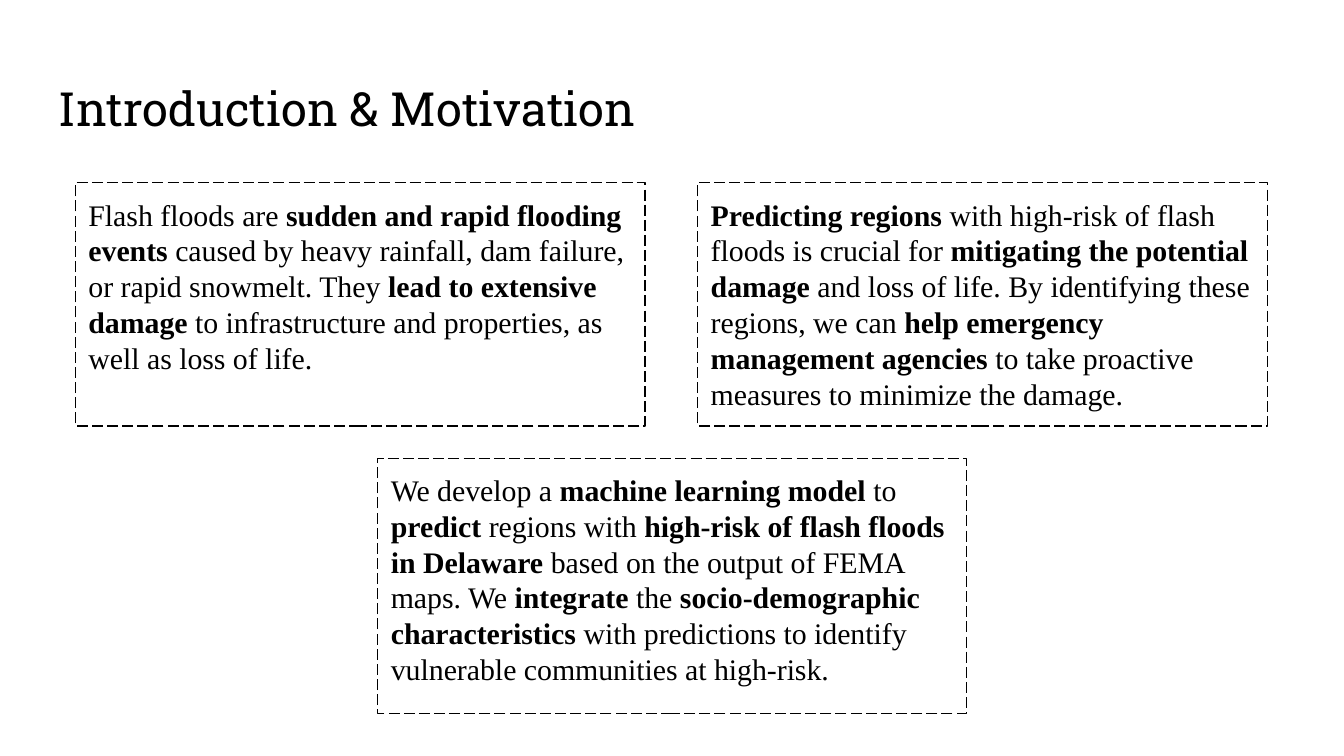
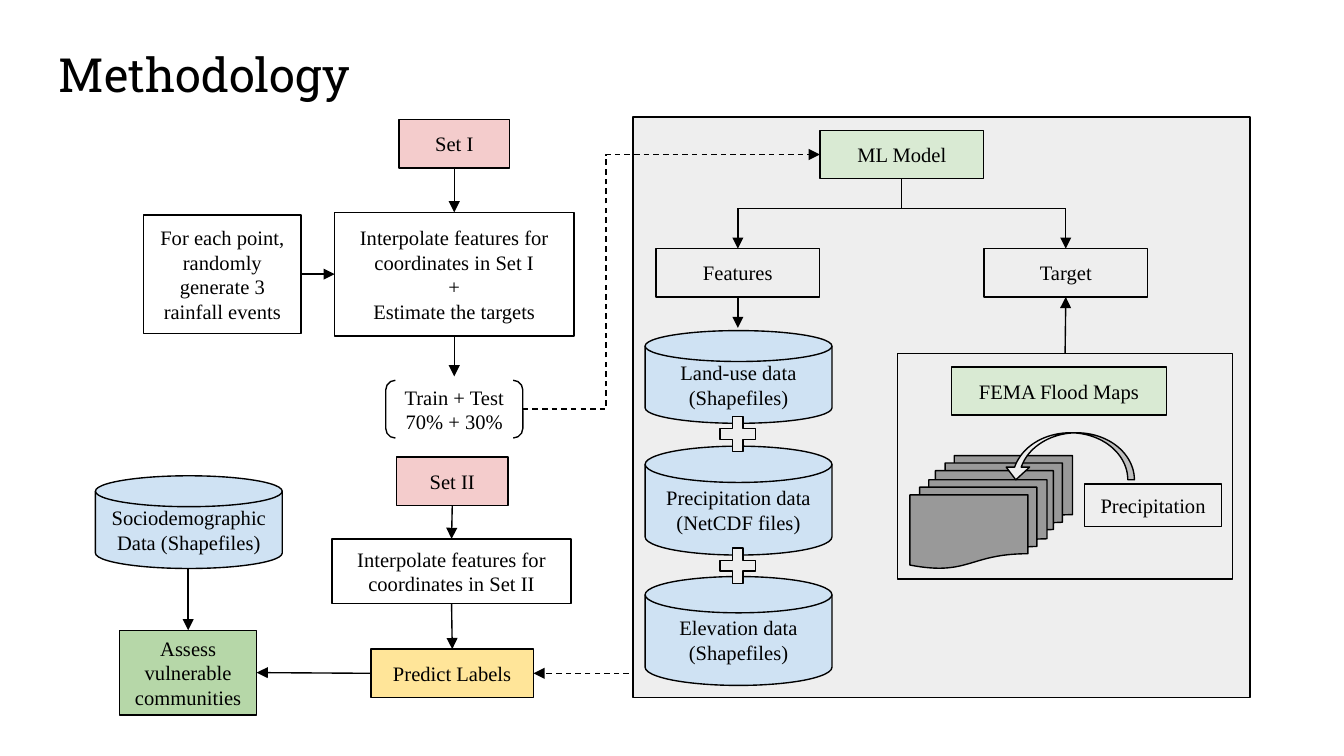
"""Build two slides on flash-flood risk: motivation and methodology."""
import pptx
import pptx.dml.color
import pptx.enum.dml
import pptx.enum.shapes
import pptx.enum.text
import pptx.oxml.ns
import pptx.util
from lxml import etree

Inches = pptx.util.Inches
Pt = pptx.util.Pt
RGBColor = pptx.dml.color.RGBColor
SHAPE = pptx.enum.shapes.MSO_SHAPE
CONNECTOR = pptx.enum.shapes.MSO_CONNECTOR
DASH = pptx.enum.dml.MSO_LINE
ALIGN = pptx.enum.text.PP_ALIGN
ANCHOR = pptx.enum.text.MSO_ANCHOR
qn = pptx.oxml.ns.qn

BLACK = RGBColor(0x00, 0x00, 0x00)
WHITE = RGBColor(0xFF, 0xFF, 0xFF)
PALE_GRAY = RGBColor(0xEE, 0xEE, 0xEE)
GRAY = RGBColor(0x99, 0x99, 0x99)
PALE_GREEN = RGBColor(0xD9, 0xEA, 0xD3)
GREEN = RGBColor(0xB6, 0xD7, 0xA8)
BLUE = RGBColor(0xCF, 0xE2, 0xF3)
PINK = RGBColor(0xF4, 0xCC, 0xCC)
YELLOW = RGBColor(0xFF, 0xE5, 0x99)

PAGE_WIDTH = Inches(10)
PAGE_HEIGHT = PAGE_WIDTH * 9 // 16
TITLE_FONT, BODY_FONT = "Roboto Slab", "Times New Roman"
TITLE_SIZE, CARD_SIZE, NODE_SIZE = 25.2, 16, 11
MARGIN = Inches(0.1)
LINE_WIDTH = Pt(0.75)
TOP, LEFT, BOTTOM, RIGHT = range(4)

CARDS = [
    ((0.56, 1.36, 4.24, 1.81), [
        "Flash floods are ",
        "sudden and rapid flooding events ",
        "caused by heavy rainfall, dam failure, or rapid snowmelt. They ",
        "lead to extensive damage ",
        "to infrastructure and properties, as well as loss of life.",
    ]),
    ((5.19, 1.36, 4.24, 1.81), [
        "",
        "Predicting regions",
        " with high-risk of flash floods is crucial for ",
        "mitigating the potential damage ",
        "and loss of life. By identifying these regions, we can ",
        "help emergency management agencies ",
        "to take proactive measures to minimize the damage.",
    ]),
    ((2.81, 3.41, 4.38, 1.9), [
        "We develop a ",
        "machine learning model ",
        "to ",
        "predict ",
        "regions with ",
        "high-risk of flash floods in Delaware ",
        "based on the output of FEMA maps. We ",
        "integrate ",
        "the ",
        "socio-demographic characteristics ",
        "with predictions to identify vulnerable communities at high-risk.",
    ]),
]

RECT = SHAPE.RECTANGLE
DISK = SHAPE.FLOWCHART_MAGNETIC_DISK
PAGES = SHAPE.FLOWCHART_MULTIDOCUMENT

NODES = {
    "panel": (RECT, PALE_GRAY, (4.71, 0.87, 4.59, 4.32), ""),
    "model": (RECT, PALE_GREEN, (6.1, 0.97, 1.22, 0.36), "ML Model"),
    "features": (RECT, None, (4.88, 1.85, 1.22, 0.36), "Features"),
    "target": (RECT, None, (7.32, 1.85, 1.22, 0.36), "Target"),
    "land use": (DISK, BLUE, (4.8, 2.46, 1.39, 0.69), "Land-use data (Shapefiles)"),
    "rain data": (DISK, BLUE, (4.8, 3.32, 1.39, 0.81), "Precipitation data (NetCDF files)"),
    "elevation": (DISK, BLUE, (4.8, 4.29, 1.39, 0.81), "Elevation data (Shapefiles)"),
    "upper plus": (SHAPE.MATH_PLUS, PALE_GRAY, (5.31, 3.05, 0.36, 0.36), ""),
    "lower plus": (SHAPE.MATH_PLUS, PALE_GRAY, (5.31, 4.03, 0.36, 0.36), ""),
    "map frame": (RECT, None, (6.68, 2.63, 2.49, 1.68), ""),
    "flood maps": (RECT, PALE_GREEN, (7.08, 2.73, 1.6, 0.36), "FEMA Flood Maps"),
    "back maps": (PAGES, GRAY, (6.96, 3.39, 1.02, 0.66), ""),
    "front maps": (PAGES, GRAY, (6.77, 3.57, 1.02, 0.66), ""),
    "rain arrow": (SHAPE.CURVED_UP_ARROW, PALE_GRAY, (7.47, 3.22, 0.97, 0.35), ""),
    "rain": (RECT, None, (8.07, 3.6, 1.02, 0.32), "Precipitation"),
    "set one": (RECT, PINK, (2.97, 0.89, 0.82, 0.36), "Set I"),
    "set two": (RECT, PINK, (2.95, 3.4, 0.83, 0.36), "Set II"),
    "split": (SHAPE.DOUBLE_BRACKET, None, (2.87, 2.83, 1.02, 0.43), "Train + Test\n70% + 30%"),
    "interpolate one": (RECT, WHITE, (2.49, 1.58, 1.78, 0.92),
                        "Interpolate features for coordinates in Set I\n+\nEstimate the targets"),
    "events": (RECT, WHITE, (1.07, 1.6, 1.17, 0.88),
               "For each point, randomly generate 3 rainfall events"),
    "interpolate two": (RECT, WHITE, (2.47, 4.01, 1.78, 0.48),
                        "Interpolate features for coordinates in Set II"),
    "predict": (RECT, YELLOW, (2.76, 4.83, 1.21, 0.36), "Predict Labels"),
    "society": (DISK, BLUE, (0.71, 3.54, 1.39, 0.69), "Sociodemographic Data (Shapefiles)"),
    "assess": (RECT, GREEN, (0.89, 4.69, 1.02, 0.63), "Assess vulnerable communities"),
}
ADJUSTMENTS = {
    "upper plus": [0.22],
    "lower plus": [0.22],
    "rain arrow": [0.14, 0.5, 0.27],
}
ROTATIONS = {"rain arrow": 180}

PLAIN_LINES = [
    (("model", BOTTOM), (6.71, 1.55)),
    ((5.49, 1.55), (7.93, 1.55)),
]
ARROWS = [
    ((5.49, 1.55), ("features", TOP)),
    ((7.93, 1.55), ("target", TOP)),
    (("features", BOTTOM), (5.49, 2.44)),
    (("map frame", TOP), ("target", BOTTOM)),
    (("set one", BOTTOM), ("interpolate one", TOP)),
    (("events", RIGHT), ("interpolate one", LEFT)),
    (("interpolate one", BOTTOM), (3.38, 2.8)),
    (("set two", BOTTOM), ("interpolate two", TOP)),
    (("interpolate two", BOTTOM), ("predict", TOP)),
    (("predict", LEFT), ("assess", RIGHT)),
    ((1.4, 4.23), ("assess", TOP)),
]
DASHED_ARROW = ((4.68, 5.01), ("predict", RIGHT))
ELBOW_ARROW = (("split", RIGHT), ("model", LEFT))
ELBOW_BEND = 0.28


def add_span(para, text, font, size, bold=False):
    """Add one run in the given type."""
    span = para.add_run()
    span.text = text
    span.font.name = font
    span.font.size = Pt(size)
    span.font.bold = bold
    span.font.color.rgb = BLACK


def prepare_frame(box, anchor):
    """Set wrapping, anchor and insets of a box's text."""
    frame = box.text_frame
    frame.word_wrap = True
    frame.vertical_anchor = anchor
    frame.margin_left = frame.margin_right = MARGIN
    frame.margin_top = frame.margin_bottom = MARGIN
    return frame


def add_page(deck, title, top):
    """Add a blank page with its title."""
    page = deck.slides.add_slide(deck.slide_layouts[6])
    box = page.shapes.add_textbox(Inches(0.34), Inches(top), Inches(9.32), Inches(0.63))
    frame = prepare_frame(box, ANCHOR.TOP)
    add_span(frame.paragraphs[0], title, TITLE_FONT, TITLE_SIZE)
    return page


def add_box(page, preset, fill, place):
    """Add an outlined shape, filled when a colour is given."""
    box = page.shapes.add_shape(preset, *map(Inches, place))
    box.shadow.inherit = False
    if fill is None:
        box.fill.background()
    else:
        box.fill.solid()
        box.fill.fore_color.rgb = fill
    box.line.color.rgb = BLACK
    box.line.width = LINE_WIDTH
    return box


def add_card(page, place, texts):
    """Add a dashed card whose runs alternate between regular and bold."""
    box = add_box(page, RECT, None, place)
    box.line.dash_style = DASH.LONG_DASH
    para = prepare_frame(box, ANCHOR.TOP).paragraphs[0]
    para.alignment = ALIGN.LEFT
    for index, text in enumerate(texts):
        if text:
            add_span(para, text, BODY_FONT, CARD_SIZE, bold=index % 2 == 1)


def add_node(page, name):
    """Add one part of the flow diagram."""
    preset, fill, place, text = NODES[name]
    box = add_box(page, preset, fill, place)
    box.rotation = ROTATIONS.get(name, 0)
    for index, value in enumerate(ADJUSTMENTS.get(name, [])):
        box.adjustments[index] = value
    if text:
        frame = prepare_frame(box, ANCHOR.MIDDLE)
        for index, line in enumerate(text.split("\n")):
            para = frame.add_paragraph() if index else frame.paragraphs[0]
            para.alignment = ALIGN.CENTER
            add_span(para, line, BODY_FONT, NODE_SIZE)
    return box


def locate(end):
    """Return the point of an end given as a point or as a node and side."""
    if end[0] not in NODES:
        return end
    name, side = end
    left, top, width, height = NODES[name][2]
    across, down = {TOP: (0.5, 0), LEFT: (0, 0.5), BOTTOM: (0.5, 1), RIGHT: (1, 0.5)}[side]
    return left + across * width, top + down * height


def add_link(page, boxes, start, finish, kind=CONNECTOR.STRAIGHT, dashed=False, arrow=True):
    """Add a connector, joined to the nodes it names."""
    points = locate(start) + locate(finish)
    link = page.shapes.add_connector(kind, *map(Inches, points))
    if start[0] in boxes:
        link.begin_connect(boxes[start[0]], start[1])
    if finish[0] in boxes:
        link.end_connect(boxes[finish[0]], finish[1])
    link.line.color.rgb = BLACK
    link.line.width = LINE_WIDTH
    if dashed:
        link.line.dash_style = DASH.DASH
    properties = link._element.spPr
    if arrow:
        etree.SubElement(properties.find(qn("a:ln")), qn("a:tailEnd"), type="triangle")
    etree.SubElement(properties, qn("a:effectLst"))
    return link


def bend_elbow(link, share):
    """Place an elbow's bend at a share of its width."""
    geometry = link._element.spPr.find(qn("a:prstGeom"))
    guides = geometry.find(qn("a:avLst"))
    if guides is None:
        guides = etree.SubElement(geometry, qn("a:avLst"))
    etree.SubElement(guides, qn("a:gd"), name="adj1", fmla=f"val {round(share * 100000)}")


def build_introduction(deck):
    """Build the slide of three text cards."""
    page = add_page(deck, "Introduction & Motivation", 0.49)
    for place, texts in CARDS:
        add_card(page, place, texts)


def build_methodology(deck):
    """Build the flow diagram slide."""
    page = add_page(deck, "Methodology", 0.24)
    boxes = {name: add_node(page, name) for name in NODES}
    for start, finish in PLAIN_LINES:
        add_link(page, boxes, start, finish, arrow=False)
    for start, finish in ARROWS:
        add_link(page, boxes, start, finish)
    add_link(page, boxes, *DASHED_ARROW, dashed=True)
    elbow = add_link(page, boxes, *ELBOW_ARROW, kind=CONNECTOR.ELBOW, dashed=True)
    bend_elbow(elbow, ELBOW_BEND)


def main():
    """Build and save the deck."""
    deck = pptx.Presentation()
    deck.slide_width, deck.slide_height = PAGE_WIDTH, PAGE_HEIGHT
    build_introduction(deck)
    build_methodology(deck)
    deck.save("out.pptx")


if __name__ == "__main__":
    main()
